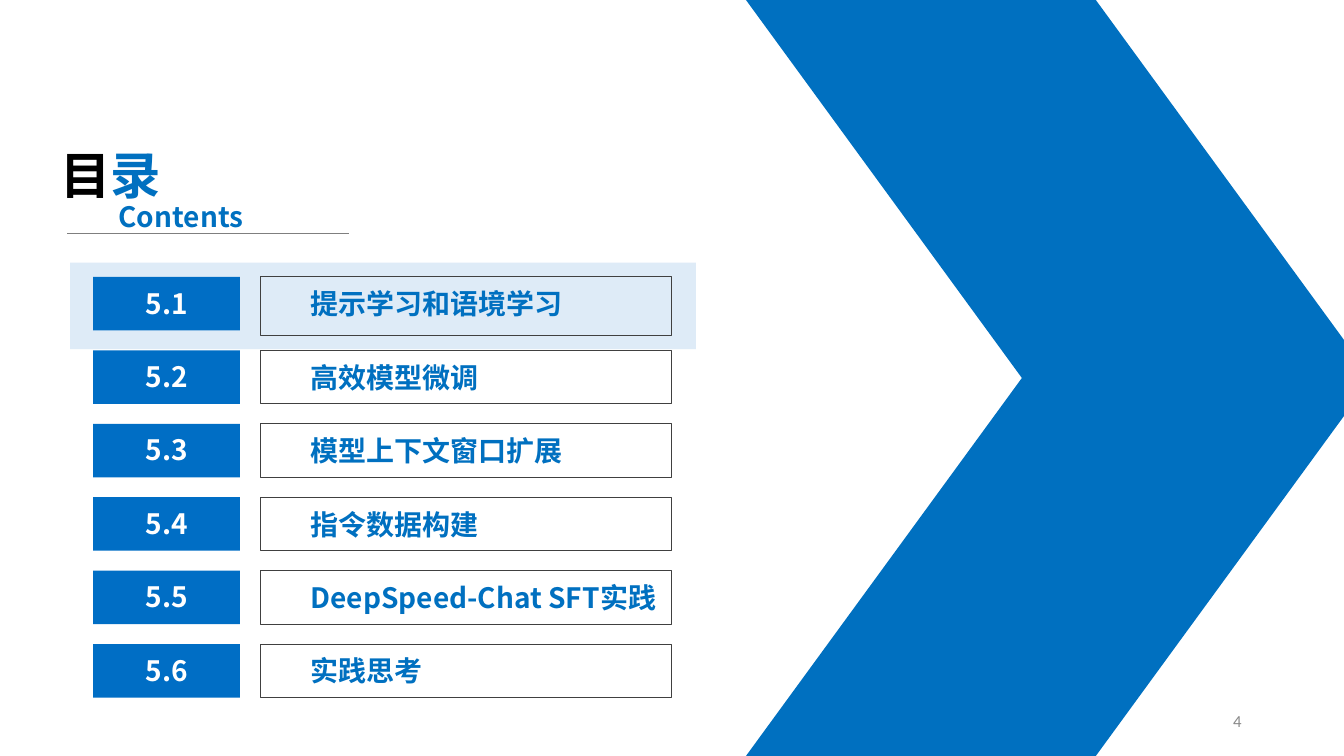
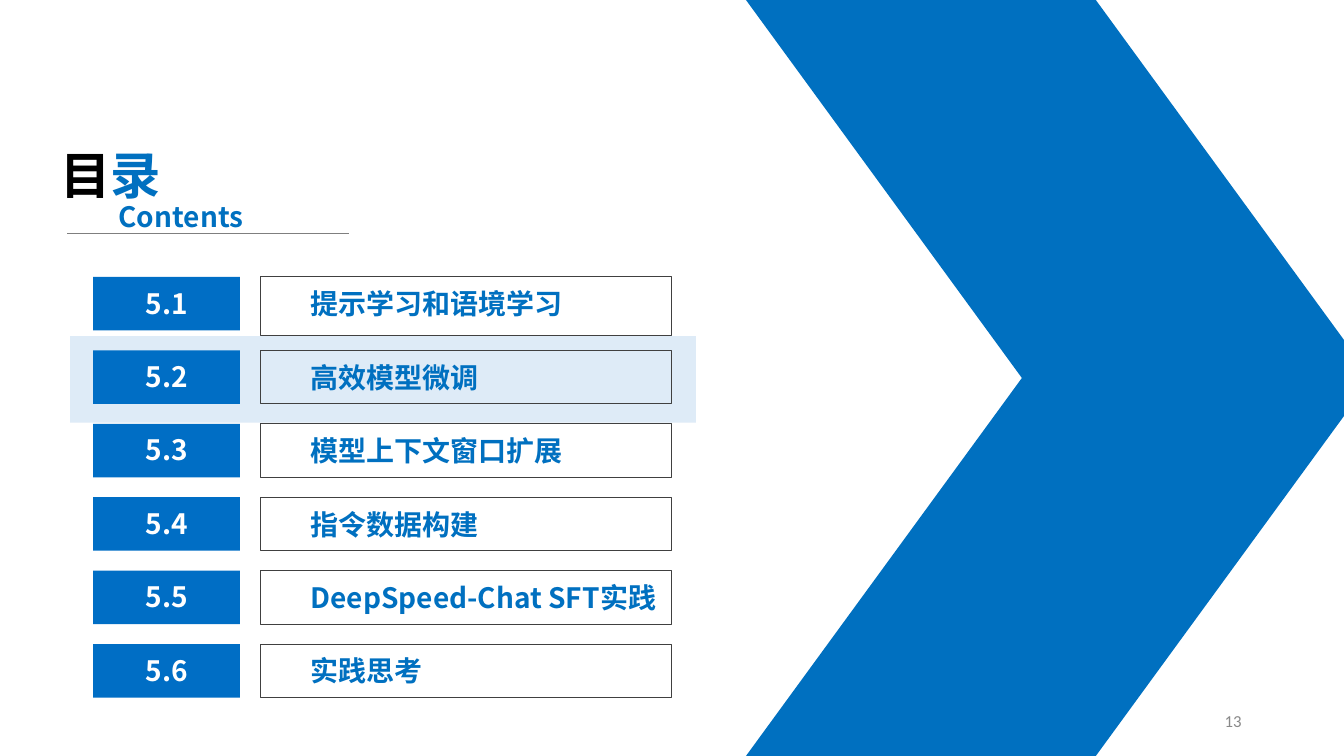
import pptx
import pptx.util
import pptx.dml.color
import pptx.enum.shapes
import pptx.enum.text
import pptx.oxml
import pptx.oxml.ns

Cm = pptx.util.Cm
Pt = pptx.util.Pt
SHAPE = pptx.enum.shapes.MSO_SHAPE
ALIGN = pptx.enum.text.PP_ALIGN
ANCHOR = pptx.enum.text.MSO_ANCHOR

SLIDE_WIDTH, SLIDE_HEIGHT = 33.87, 19.05
TITLE_ONLY = 5
FONT = "Noto Sans CJK SC"
BLUE, BADGE_BLUE, HIGHLIGHT = "0070C0", "006EC5", "DEEBF7"
BLACK, WHITE = "000000", "FFFFFF"
BORDER, RULE, PAGE_GREY = "404040", "7F7F7F", "898989"

ROW_TOP, ROW_PITCH, ROW_HEIGHT = 6.98, 1.85, 1.35
FIRST_FRAME_HEIGHT = 1.48
BADGE_LEFT, BADGE_WIDTH = 2.35, 3.7
FRAME_LEFT, FRAME_WIDTH = 6.56, 10.36
MARKER_LEFT, MARKER_WIDTH, MARKER_HEIGHT = 1.77, 15.77, 2.18
MARKER_RISE = 0.36

SECTIONS = [
    ("5.1", "提示学习和语境学习"),
    ("5.2", "高效模型微调"),
    ("5.3", "模型上下文窗口扩展"),
    ("5.4", "指令数据构建"),
    ("5.5", "DeepSpeed-Chat SFT实践"),
    ("5.6", "实践思考"),
]
AGENDAS = [(0, "4"), (1, "13")]  # highlighted row, page number


def rgb(value):
    return pptx.dml.color.RGBColor.from_string(value)


def apply(target, values):
    for name, value in values.items():
        setattr(target, name, value)


class Deck:
    """Holds the shared style and the slide being built."""

    def __init__(self):
        self.presentation = pptx.Presentation()
        apply(self.presentation, {"slide_width": Cm(SLIDE_WIDTH),
                                  "slide_height": Cm(SLIDE_HEIGHT)})
        self.slide = None

    def new_slide(self):
        layout = self.presentation.slide_layouts[TITLE_ONLY]
        self.slide = self.presentation.slides.add_slide(layout)

    def set_text(self, shape, runs, size=20, font=FONT, bold=True,
                 align=ALIGN.LEFT, **frame_format):
        """Fill a shape with one paragraph of (text, colour) runs."""
        frame = shape.text_frame
        apply(frame, {"word_wrap": True,
                      "auto_size": pptx.enum.text.MSO_AUTO_SIZE.NONE,
                      "vertical_anchor": ANCHOR.TOP, **frame_format})
        paragraph = frame.paragraphs[0]
        paragraph.alignment = align
        for text, color in runs:
            run = paragraph.add_run()
            run.text = text
            apply(run.font, {"size": Pt(size), "name": font, "bold": bold})
            run.font.color.rgb = rgb(color)
            east_asian = pptx.oxml.parse_xml(
                f'<a:ea {pptx.oxml.ns.nsdecls("a")} typeface="{font}"/>')
            run.font._element.find(pptx.oxml.ns.qn("a:latin")).addnext(east_asian)

    def title(self, runs, *box):
        heading = self.slide.shapes.title
        apply(heading, dict(zip(("left", "top", "width", "height"), map(Cm, box))))
        self.set_text(heading, runs, size=36)

    def text(self, content, color, *box, **text_format):
        label = self.slide.shapes.add_textbox(*map(Cm, box))
        self.set_text(label, [(content, color)], **text_format)

    def shape(self, kind, *box, fill=None, line=None):
        shape = self.slide.shapes.add_shape(kind, *map(Cm, box))
        shape.shadow.inherit = False
        if fill:
            shape.fill.solid()
            shape.fill.fore_color.rgb = rgb(fill)
        else:
            shape.fill.background()
        if line:
            shape.line.color.rgb = rgb(line)
            shape.line.width = Pt(0.75)
        else:
            shape.line.fill.background()
        return shape

    def rule(self, left, right, top):
        rule = self.slide.shapes.add_connector(
            pptx.enum.shapes.MSO_CONNECTOR.STRAIGHT,
            Cm(left), Cm(top), Cm(right), Cm(top))
        rule.line.color.rgb = rgb(RULE)
        rule.line.width = Pt(0.5)
        rule._element.spPr.append(pptx.oxml.parse_xml(
            f'<a:effectLst {pptx.oxml.ns.nsdecls("a")}/>'))

    def arrow_band(self):
        """Two mirrored parallelograms that form the large blue arrow."""
        half = SLIDE_HEIGHT / 2
        for top, flipped in ((half, False), (0, True)):
            arm = self.shape(SHAPE.PARALLELOGRAM, 18.8, top, 15.77, half, fill=BLUE)
            arm.adjustments[0] = 0.73
            if flipped:
                arm._element.spPr.xfrm.set("flipV", "1")

    def heading(self):
        self.title([("目", BLACK), ("录", BLUE)], 1.27, 3.5, 3.99, 1.8)
        self.text("Contents", BLUE, 2.74, 4.9, 3.99, 1.12)
        self.rule(1.7, 8.79, 5.87)

    def section(self, row, number, name):
        top = ROW_TOP + row * ROW_PITCH
        frame_height = ROW_HEIGHT if row else FIRST_FRAME_HEIGHT
        frame = self.shape(SHAPE.RECTANGLE, FRAME_LEFT, top, FRAME_WIDTH,
                           frame_height, line=BORDER)
        self.set_text(frame, [(name, BLUE)], margin_left=Cm(1.27),
                      margin_right=0, margin_top=Cm(0.25), margin_bottom=0)
        badge = self.shape(SHAPE.RECTANGLE, BADGE_LEFT, top, BADGE_WIDTH,
                           ROW_HEIGHT, fill=BADGE_BLUE)
        self.set_text(badge, [(number, WHITE)], align=ALIGN.CENTER,
                      margin_top=Cm(0.23), margin_bottom=0)

    def agenda(self, current, page):
        self.new_slide()
        self.shape(SHAPE.RECTANGLE, MARKER_LEFT,
                   ROW_TOP + current * ROW_PITCH - MARKER_RISE,
                   MARKER_WIDTH, MARKER_HEIGHT, fill=HIGHLIGHT)
        self.arrow_band()
        self.heading()
        for row, (number, name) in enumerate(SECTIONS):
            self.section(row, number, name)
        self.text(page, PAGE_GREY, 23.92, 17.66, 7.62, 1.01, size=12,
                  font="Calibri", bold=False, align=ALIGN.RIGHT,
                  vertical_anchor=ANCHOR.MIDDLE)


def main():
    deck = Deck()
    for current, page in AGENDAS:
        deck.agenda(current, page)
    deck.presentation.save("out.pptx")


if __name__ == "__main__":
    main()
